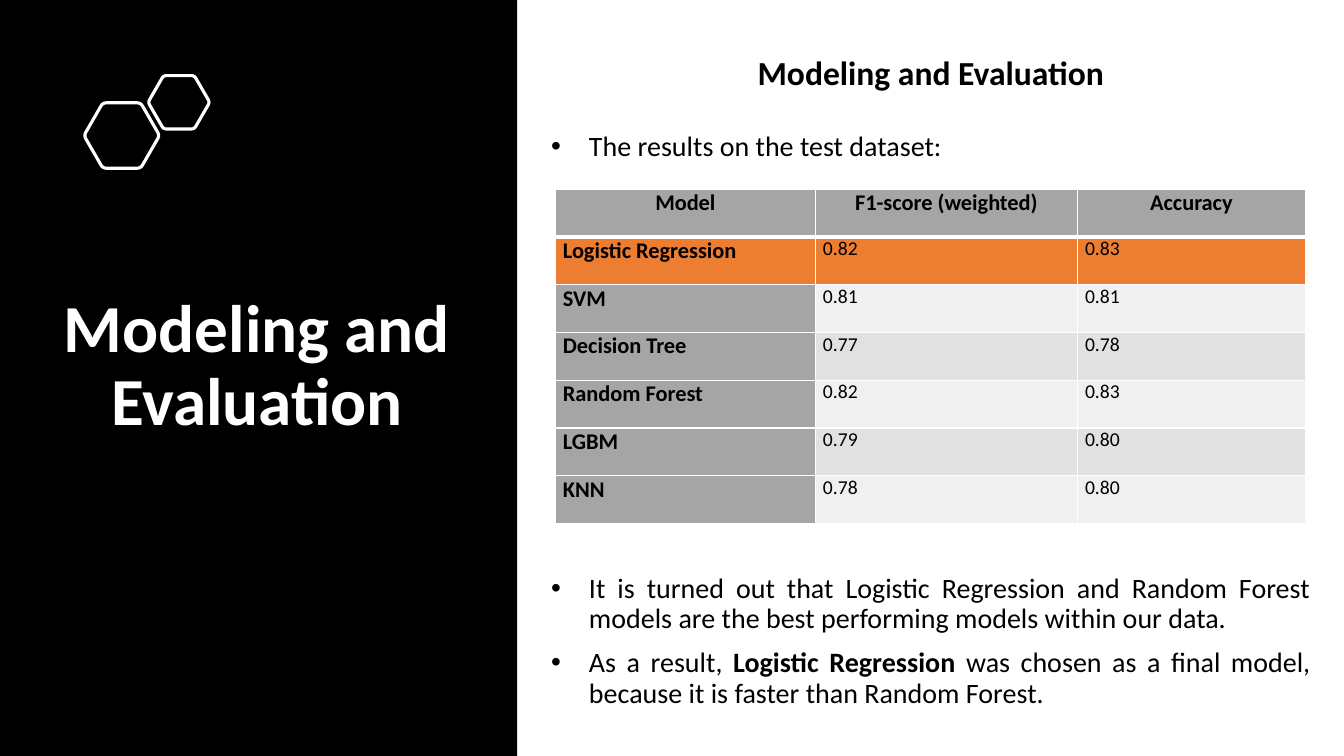
import math

import lxml.etree
import pptx
import pptx.dml.color
import pptx.enum.shapes
import pptx.enum.text
import pptx.oxml.ns
import pptx.util

COLUMNS, ROWS, CELL = 160, 90, 76200
FONT = "Calibri"
BLACK, WHITE, GREY, ORANGE = "000000", "FFFFFF", "A5A5A5", "ED7D31"
BANDS = ("F0F0F0", "E1E1E1")
ALIGN = pptx.enum.text.PP_ALIGN

SCORES = (
    ("Model", "F1-score (weighted)", "Accuracy"),
    ("Logistic Regression", "0.82", "0.83"),
    ("SVM", "0.81", "0.81"),
    ("Decision Tree", "0.77", "0.78"),
    ("Random Forest", "0.82", "0.83"),
    ("LGBM", "0.79", "0.80"),
    ("KNN", "0.78", "0.80"),
)
SCORE_COLUMNS = (30.96, 31.2, 27.12)
SCORE_ROW = 5.68
CHOSEN_ROW = 1


def grid(cells):
    """Turn a number of grid cells into a length."""
    return pptx.util.Emu(round(cells * CELL))


def color(code):
    """Turn a hex string into a colour."""
    return pptx.dml.color.RGBColor.from_string(code)


def add_child(parent, tag, **attributes):
    """Append a drawing element to a parent."""
    child = lxml.etree.SubElement(parent, pptx.oxml.ns.qn(tag))
    for key, value in attributes.items():
        child.set(key, str(value))
    return child


def add_run(paragraph, words, size, code=BLACK, bold=False):
    """Add one styled run."""
    run = paragraph.add_run()
    run.text = words
    run.font.name = FONT
    run.font.size = pptx.util.Pt(size)
    run.font.bold = bold
    run.font.color.rgb = color(code)


def add_text_frame(slide, left, top, width, height):
    """Add a wrapping, vertically centred text area."""
    area = slide.shapes.add_textbox(*map(grid, (left, top, width, height)))
    frame = area.text_frame
    frame.word_wrap = True
    frame.vertical_anchor = pptx.enum.text.MSO_ANCHOR.MIDDLE
    return frame


def format_paragraph(paragraph, alignment, before=0, after=0):
    """Set alignment and spacing of a paragraph."""
    paragraph.alignment = alignment
    paragraph.line_spacing = 0.9
    paragraph.space_before = pptx.util.Pt(before)
    paragraph.space_after = pptx.util.Pt(after)


def write_bullet(paragraph, *phrases):
    """Fill a justified bullet with (words, bold) phrases."""
    format_paragraph(paragraph, ALIGN.JUSTIFY, before=10)
    properties = paragraph._p.get_or_add_pPr()
    indent = grid(4.5)
    properties.set("marL", str(indent))
    properties.set("indent", str(-indent))
    add_child(properties, "a:buFont", typeface="Arial")
    add_child(properties, "a:buChar", char="•")
    for words, bold in phrases:
        add_run(paragraph, words, 20, bold=bold)


def add_panel(slide, width):
    """Add the full-height dark panel on the left."""
    panel = slide.shapes.add_shape(
        pptx.enum.shapes.MSO_SHAPE.RECTANGLE, 0, 0, grid(width), grid(ROWS))
    panel.shadow.inherit = False
    panel.fill.solid()
    panel.fill.fore_color.rgb = color(BLACK)
    panel.line.fill.background()


def add_hexagon(slide, center_x, center_y, radius, rounding=0.1, steps=6):
    """Outline a hexagon with rounded corners."""
    corners = [(center_x + radius * math.cos(k * math.pi / 3),
                center_y + radius * math.sin(k * math.pi / 3)) for k in range(6)]
    outline = []
    for k, corner in enumerate(corners):
        before, after = corners[k - 1], corners[(k + 1) % 6]
        for step in range(steps + 1):
            t = step / steps
            pull_before, pull_after = rounding * (1 - t) ** 2, rounding * t ** 2
            outline.append(tuple(
                CELL * (c + pull_before * (b - c) + pull_after * (a - c))
                for b, c, a in zip(before, corner, after)))
    builder = slide.shapes.build_freeform(*outline[0])
    builder.add_line_segments(outline[1:], close=True)
    hexagon = builder.convert_to_shape()
    hexagon.shadow.inherit = False
    hexagon.fill.background()
    hexagon.line.color.rgb = color(WHITE)
    hexagon.line.width = pptx.util.Pt(2.25)


def add_borders(cell, top, bottom):
    """Draw white borders around a table cell."""
    properties = cell._tc.get_or_add_tcPr()
    sides = (("L", 1), ("R", 1), ("T", top), ("B", bottom))
    for position, (side, points) in enumerate(sides):
        border = add_child(properties, f"a:ln{side}", w=pptx.util.Pt(points))
        add_child(add_child(border, "a:solidFill"), "a:srgbClr", val=WHITE)
        properties.insert(position, border)


def score_fill(row, column):
    """Choose the fill of a score cell."""
    if row == CHOSEN_ROW:
        return ORANGE
    return GREY if row == 0 or column == 0 else BANDS[row % 2]


def add_scores(slide, left, top):
    """Add the table of model scores."""
    scores = slide.shapes.add_table(
        len(SCORES), len(SCORE_COLUMNS), grid(left), grid(top),
        grid(sum(SCORE_COLUMNS)), grid(SCORE_ROW * len(SCORES))).table
    for column, width in zip(scores.columns, SCORE_COLUMNS):
        column.width = grid(width)
    for r, record in enumerate(SCORES):
        scores.rows[r].height = grid(SCORE_ROW)
        for c, words in enumerate(record):
            cell = scores.cell(r, c)
            cell.margin_left = cell.margin_right = grid(0.9)
            cell.margin_top = cell.margin_bottom = 0
            cell.fill.solid()
            cell.fill.fore_color.rgb = color(score_fill(r, c))
            add_borders(cell, 3 if r == 1 else 1, 3 if r == 0 else 1)
            heading = r == 0 or c == 0
            paragraph = cell.text_frame.paragraphs[0]
            paragraph.alignment = ALIGN.CENTER if r == 0 else ALIGN.LEFT
            add_run(paragraph, words, 16 if heading else 14, bold=heading)


def main():
    """Build the slide and save it."""
    deck = pptx.Presentation()
    deck.slide_width, deck.slide_height = grid(COLUMNS), grid(ROWS)
    slide = deck.slides.add_slide(deck.slide_layouts[6])

    add_panel(slide, 61.56)
    add_hexagon(slide, 14.5, 16.14, 4.5)
    add_hexagon(slide, 21.3, 12.18, 3.67)
    title = add_text_frame(slide, -0.48, 32.28, 62.16, 22.92).paragraphs[0]
    format_paragraph(title, ALIGN.CENTER)
    add_run(title, "Modeling and Evaluation", 48, WHITE, bold=True)

    intro = add_text_frame(slide, 64.44, 5.52, 92.76, 15)
    heading = intro.paragraphs[0]
    format_paragraph(heading, ALIGN.CENTER, before=10, after=18)
    add_run(heading, "Modeling and Evaluation", 24, bold=True)
    write_bullet(intro.add_paragraph(), ("The results on the test dataset:", False))

    add_scores(slide, 66.12, 22.56)

    findings = add_text_frame(slide, 64.44, 64.32, 92.76, 24.12)
    write_bullet(findings.paragraphs[0], (
        "It is turned out that Logistic Regression and Random Forest models "
        "are the best performing models within our data.", False))
    write_bullet(
        findings.add_paragraph(), ("As a result, ", False),
        ("Logistic Regression ", True),
        ("was chosen as a final model, because it is faster than Random Forest.", False))

    deck.save("out.pptx")


if __name__ == "__main__":
    main()
